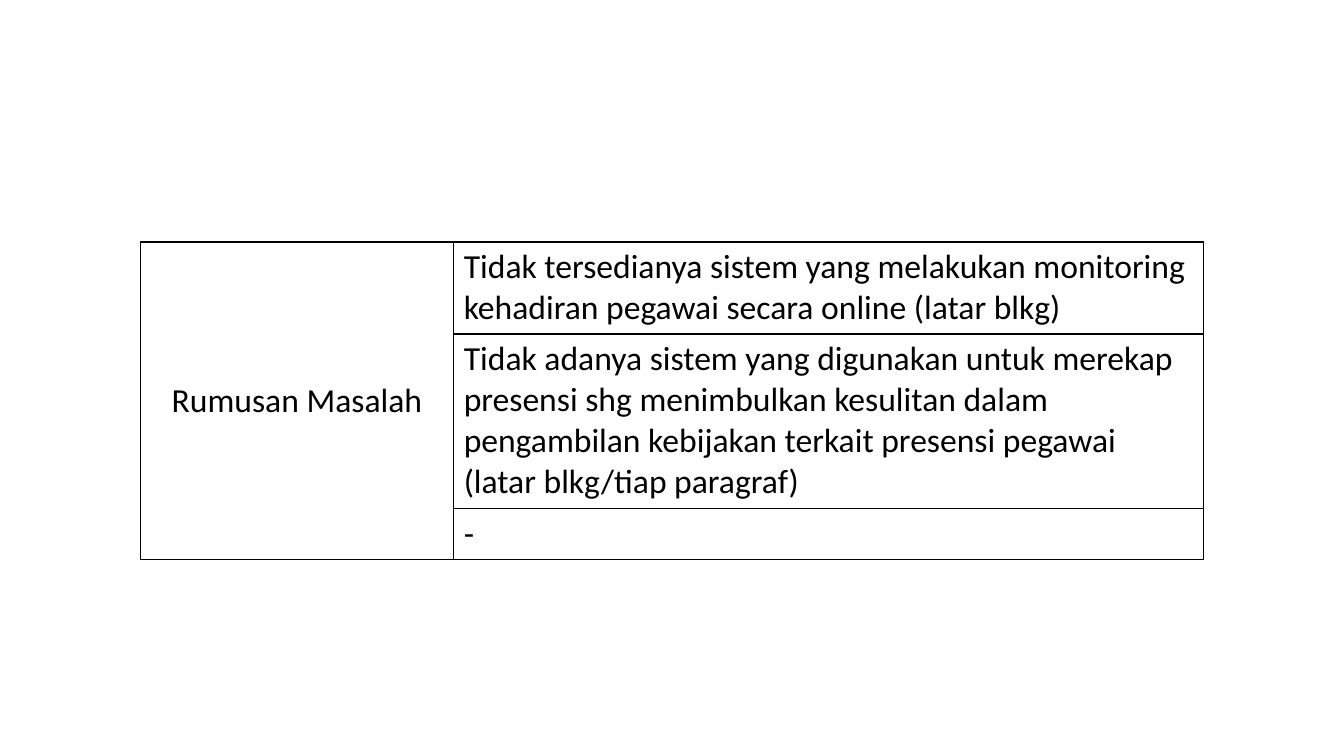
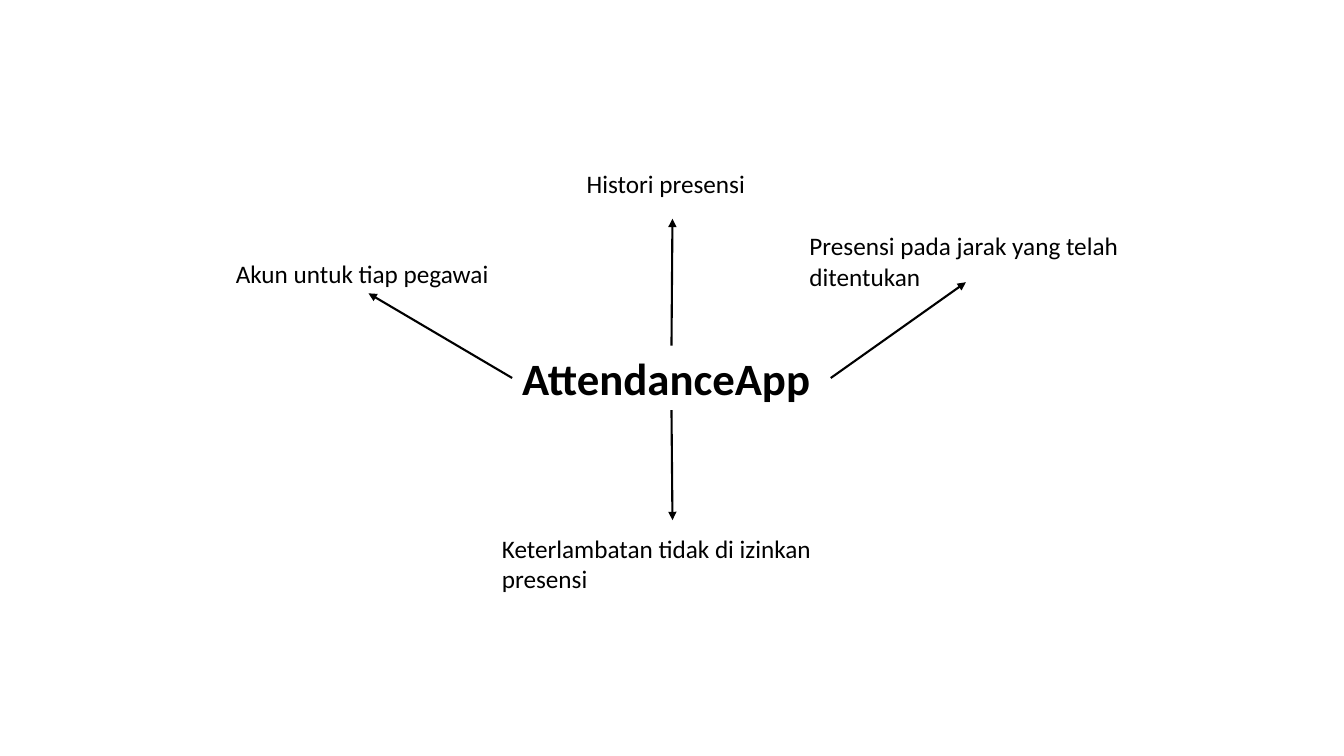
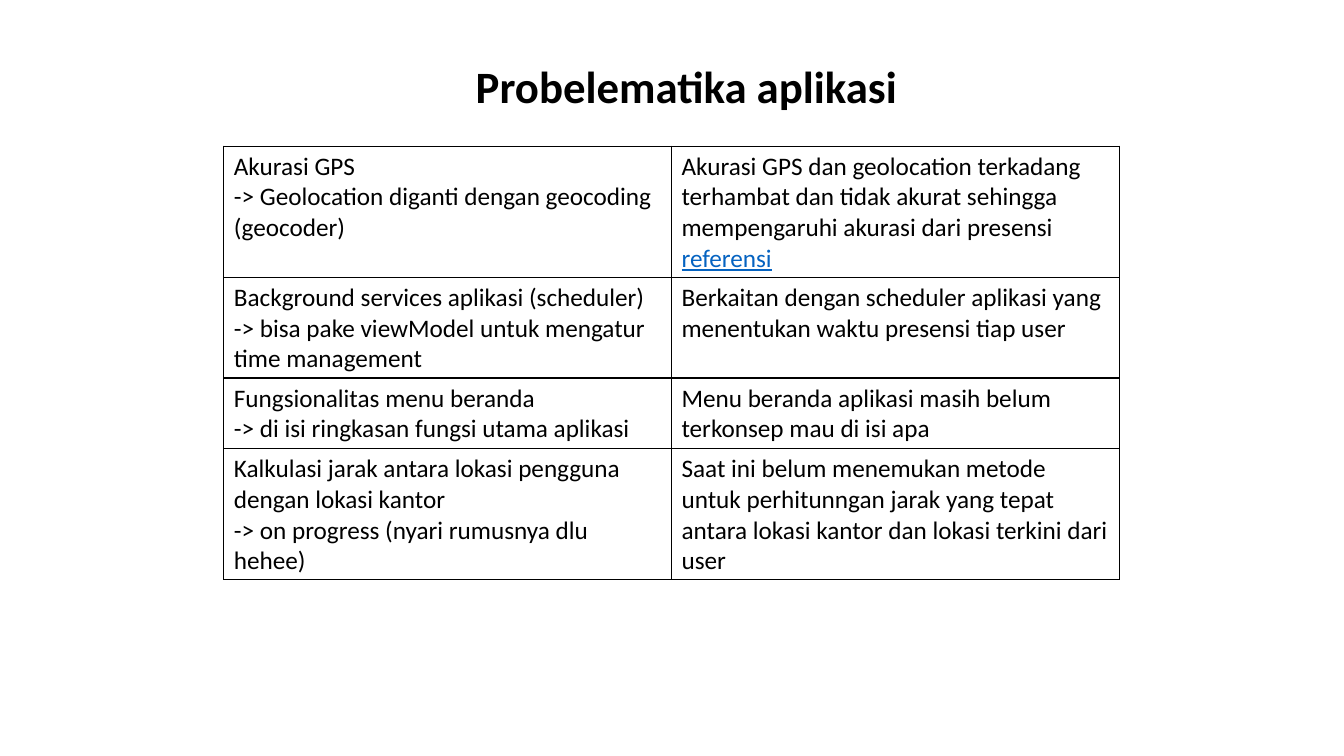
from lxml import etree
from pptx import Presentation
from pptx.dml.color import RGBColor
from pptx.enum import shapes, text
from pptx.oxml import parse_xml
from pptx.oxml.ns import nsdecls, qn
from pptx.util import Inches, Pt

BLACK = RGBColor(0x00, 0x00, 0x00)
LINK_BLUE = RGBColor(0x05, 0x63, 0xC1)
FONT = "Calibri"
HEADING_SIZE, BODY_SIZE, LARGE_SIZE = 32, 18, 24

presentation = Presentation()
presentation.slide_width = Inches(13.33)
presentation.slide_height = Inches(7.5)
blank_layout = presentation.slide_layouts[6]


def add_text(slide, words, left, top, width, height, size=BODY_SIZE, bold=False):
    box = slide.shapes.add_textbox(Inches(left), Inches(top), Inches(width), Inches(height))
    frame = box.text_frame
    frame.word_wrap = True
    frame.auto_size = text.MSO_AUTO_SIZE.SHAPE_TO_FIT_TEXT
    frame.text = words
    font = frame.paragraphs[0].font
    font.name, font.size, font.bold = FONT, Pt(size), bold
    font.color.rgb = BLACK
    return box


def add_grid(slide, rows, left, top, widths, heights, size):
    """Add an unfilled table with thin black borders."""
    frame = slide.shapes.add_table(len(heights), len(widths), Inches(left), Inches(top),
                                   Inches(sum(widths)), Inches(sum(heights)))
    table = frame.table
    table.first_row = table.horz_banding = False
    for column, width in zip(table.columns, widths):
        column.width = Inches(width)
    for row, height, entries in zip(table.rows, heights, rows):
        row.height = Inches(height)
        for cell, words in zip(row.cells, entries):
            cell.text = words
            for paragraph in cell.text_frame.paragraphs:
                font = paragraph.font
                font.name, font.size = FONT, Pt(size)
                font.color.rgb = BLACK
            properties = cell._tc.get_or_add_tcPr()
            for side in ("lnL", "lnR", "lnT", "lnB"):
                properties.append(parse_xml(
                    f'<a:{side} {nsdecls("a")} w="{Pt(1)}"><a:solidFill>'
                    f'<a:srgbClr val="{BLACK}"/></a:solidFill></a:{side}>'))
            cell.fill.background()
    return table


# Slide 1: problem statement
slide = presentation.slides.add_slide(blank_layout)
problems = [
    ("Rumusan Masalah",
     "Tidak tersedianya sistem yang melakukan monitoring kehadiran pegawai secara online "
     "(latar blkg)"),
    ("",
     "Tidak adanya sistem yang digunakan untuk merekap presensi shg menimbulkan kesulitan "
     "dalam pengambilan kebijakan terkait presensi pegawai (latar blkg/tiap paragraf)"),
    ("", "-"),
]
table = add_grid(slide, problems, 1.39, 2.4, [3.11, 7.44], [0.91, 1.73, 0.51], LARGE_SIZE)
heading_cell = table.cell(0, 0)
heading_cell.merge(table.cell(2, 0))
heading_cell.vertical_anchor = text.MSO_ANCHOR.MIDDLE
heading_cell.text_frame.paragraphs[0].alignment = text.PP_ALIGN.CENTER

# Slide 2: features around the application name
slide = presentation.slides.add_slide(blank_layout)
app_name = add_text(slide, "AttendanceApp", 5.08, 3.43, 3.16, 0.64, HEADING_SIZE, True)

# Label, its box, side of the name where the arrow starts, arrow tip
features = [
    ("Akun untuk tiap pegawai", (2.24, 2.51, 2.83, 0.4), 1, (3.65, 2.92)),
    ("Histori presensi", (5.72, 1.62, 1.89, 0.4), 0, (6.67, 2.17)),
    ("Presensi pada jarak yang telah ditentukan", (7.93, 2.24, 3.62, 0.71), 3, (9.58, 2.8)),
    ("Keterlambatan tidak di izinkan presensi", (4.88, 5.24, 3.57, 0.71), 2, (6.67, 5.16)),
]
for words, box, side, (tip_x, tip_y) in features:
    label = add_text(slide, words, *box)
    arrow = slide.shapes.add_connector(shapes.MSO_CONNECTOR.STRAIGHT, 0, 0,
                                       Inches(tip_x), Inches(tip_y))
    arrow.begin_connect(app_name, side)
    if side == 1:
        arrow.end_connect(label, 2)
    arrow.line.color.rgb = BLACK
    arrow.line.width = Pt(1.5)
    etree.SubElement(arrow.line._get_or_add_ln(), qn("a:tailEnd"), type="triangle")
    etree.SubElement(arrow._element.spPr, qn("a:effectLst"))

# Slide 3: application issues
slide = presentation.slides.add_slide(blank_layout)
add_text(slide, "Probelematika aplikasi", 4.62, 0.53, 4.53, 0.64, HEADING_SIZE, True)
issues = [
    ("Akurasi GPS\n-> Geolocation diganti dengan geocoding (geocoder)",
     "Akurasi GPS dan geolocation terkadang terhambat dan tidak akurat sehingga "
     "mempengaruhi akurasi dari presensi\nreferensi"),
    ("Background services aplikasi (scheduler)\n"
     "-> bisa pake viewModel untuk mengatur time management",
     "Berkaitan dengan scheduler aplikasi yang menentukan waktu presensi tiap user"),
    ("Fungsionalitas menu beranda\n-> di isi ringkasan fungsi utama aplikasi",
     "Menu beranda aplikasi masih belum terkonsep mau di isi apa"),
    ("Kalkulasi jarak antara lokasi pengguna dengan lokasi kantor\n"
     "-> on progress (nyari rumusnya dlu hehee)",
     "Saat ini belum menemukan metode untuk perhitunngan jarak yang tepat antara lokasi "
     "kantor dan lokasi terkini dari user"),
]
table = add_grid(slide, issues, 2.22, 1.45, [4.44, 4.44], [1.3, 1, 0.7, 1.3], BODY_SIZE)
reference_font = table.cell(0, 1).text_frame.paragraphs[1].font
reference_font.color.rgb = LINK_BLUE
reference_font.underline = True

presentation.save("out.pptx")
